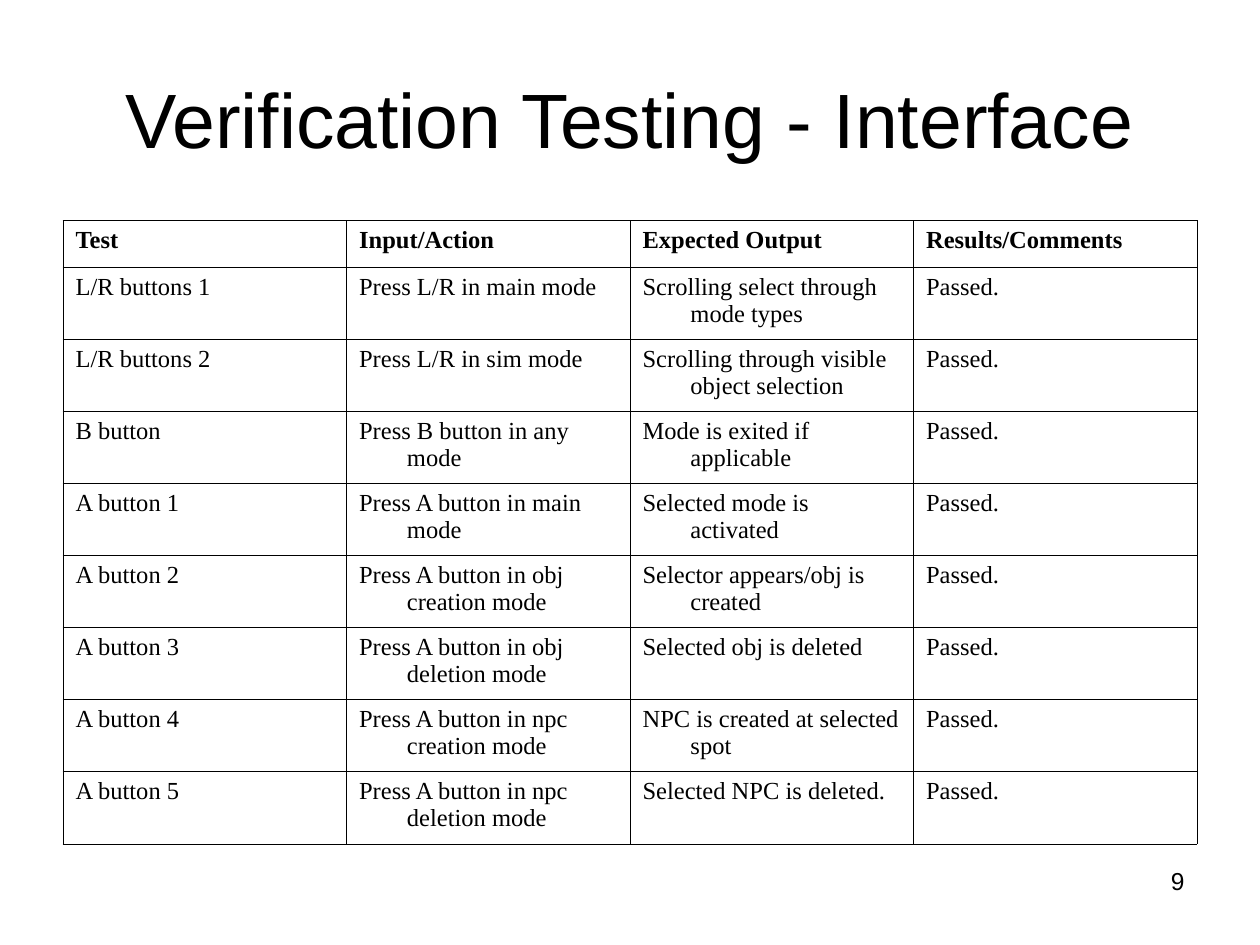
import pptx
import pptx.dml.color
import pptx.enum.text
import pptx.oxml
import pptx.oxml.ns
import pptx.util

BLACK = pptx.dml.color.RGBColor(0x00, 0x00, 0x00)
SLIDE_WIDTH = pptx.util.Inches(10)
SLIDE_HEIGHT = pptx.util.Inches(7.5)
HEADER_SHARE = 0.075
BORDER_WIDTH = pptx.util.Pt(0.45)
HANGING_INDENT = pptx.util.Inches(0.38)
ALIGN = pptx.enum.text.PP_ALIGN
ANCHOR = pptx.enum.text.MSO_ANCHOR

TITLE_FONT = {"name": "Arial", "size": pptx.util.Pt(44)}
NUMBER_FONT = {"name": "Arial", "size": pptx.util.Pt(14)}
CELL_FONT = {"name": "Times New Roman", "size": pptx.util.Pt(14)}

HEADINGS = ("Test", "Input/Action", "Expected Output", "Results/Comments")
TESTS = (
    ("L/R buttons 1", "Press L/R in main mode", "Scrolling select through mode types"),
    ("L/R buttons 2", "Press L/R in sim mode", "Scrolling through visible object selection"),
    ("B button", "Press B button in any mode", "Mode is exited if applicable"),
    ("A button 1", "Press A button in main mode", "Selected mode is activated"),
    ("A button 2", "Press A button in obj creation mode", "Selector appears/obj is created"),
    ("A button 3", "Press A button in obj deletion mode", "Selected obj is deleted"),
    ("A button 4", "Press A button in npc creation mode", "NPC is created at selected spot"),
    ("A button 5", "Press A button in npc deletion mode", "Selected NPC is deleted."),
)
RESULT = "Passed."


def slide_box(left, top, width, height):
    return (
        round(left * SLIDE_WIDTH),
        round(top * SLIDE_HEIGHT),
        round(width * SLIDE_WIDTH),
        round(height * SLIDE_HEIGHT),
    )


def write_text(paragraph, text, font_format):
    run = paragraph.add_run()
    run.text = text
    for name, value in font_format.items():
        setattr(run.font, name, value)
    run.font.color.rgb = BLACK


def add_text(slide, box, text, font_format, alignment, anchor):
    frame = slide.shapes.add_textbox(*box).text_frame
    frame.word_wrap = True
    frame.vertical_anchor = anchor
    frame.paragraphs[0].alignment = alignment
    write_text(frame.paragraphs[0], text, font_format)


def draw_borders(cell):
    properties = cell._tc.get_or_add_tcPr()
    for side in ("lnL", "lnR", "lnT", "lnB"):
        properties.append(pptx.oxml.parse_xml(
            f'<a:{side} {pptx.oxml.ns.nsdecls("a")} w="{BORDER_WIDTH}">'
            f'<a:solidFill><a:srgbClr val="{BLACK}"/></a:solidFill></a:{side}>'
        ))


def fill_cell(cell, text, bold):
    draw_borders(cell)
    cell.fill.background()
    paragraph = cell.text_frame.paragraphs[0]
    indents = paragraph._p.get_or_add_pPr()
    for name, value in {"marL": HANGING_INDENT, "indent": -HANGING_INDENT}.items():
        indents.set(name, str(value))
    write_text(paragraph, text, {**CELL_FONT, "bold": bold})


def add_test_table(slide, box):
    rows = [HEADINGS] + [(*test, RESULT) for test in TESTS]
    table = slide.shapes.add_table(len(rows), len(HEADINGS), *box).table
    table.first_row = table.horz_banding = False
    width, height = box[2:]
    header_height = round(height * HEADER_SHARE)
    for column in table.columns:
        column.width = width // len(HEADINGS)
    for row_index, texts in enumerate(rows):
        is_header = row_index == 0
        table.rows[row_index].height = (
            header_height if is_header else (height - header_height) // len(TESTS)
        )
        for column_index, text in enumerate(texts):
            fill_cell(table.cell(row_index, column_index), text, is_header)


def main():
    presentation = pptx.Presentation()
    presentation.slide_width = SLIDE_WIDTH
    presentation.slide_height = SLIDE_HEIGHT
    slide = presentation.slides.add_slide(presentation.slide_layouts[6])
    add_text(slide, slide_box(0.05, 0.04, 0.9, 0.17), "Verification Testing - Interface",
             TITLE_FONT, ALIGN.CENTER, ANCHOR.MIDDLE)
    add_test_table(slide, slide_box(0.05, 7 / 30, 0.9, 0.66))
    add_text(slide, slide_box(0.72, 0.91, 0.23, 0.07), "9",
             NUMBER_FONT, ALIGN.RIGHT, ANCHOR.TOP)
    presentation.save("out.pptx")


if __name__ == "__main__":
    main()
